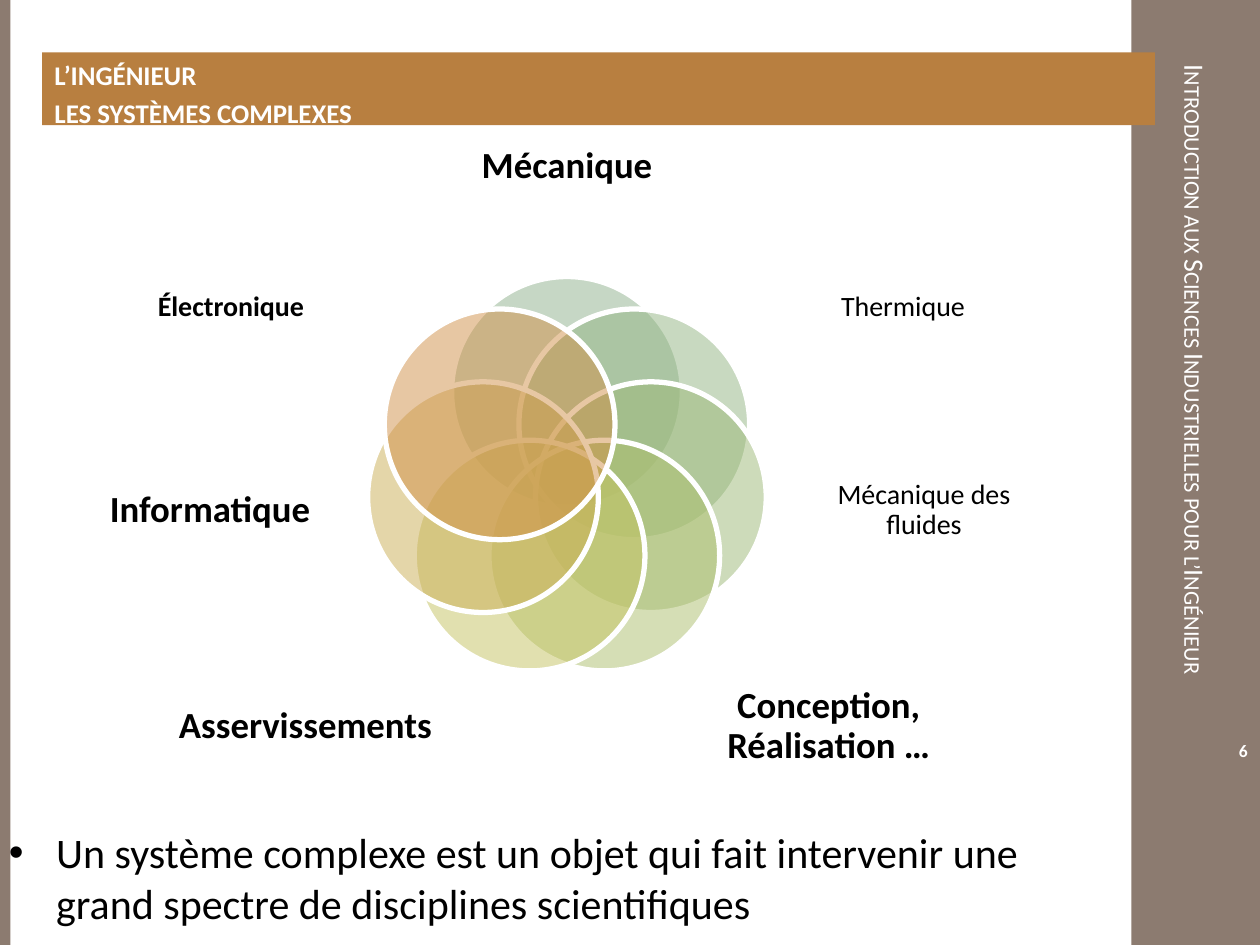
from math import cos, pi, sin

from lxml.etree import SubElement
from pptx import Presentation
from pptx.dml.color import RGBColor
from pptx.enum.shapes import MSO_SHAPE as SHAPE
from pptx.enum.text import MSO_ANCHOR as ANCHOR, PP_ALIGN as ALIGN
from pptx.oxml.ns import qn
from pptx.util import Pt

FONT = "Calibri"
BROWN, ORANGE, WHITE, BLACK = "8C7B70", "B87F40", "FFFFFF", "000000"

# text, circle colour, size, bold, label centre from diagram centre, label width
DISCIPLINES = [
    ("Mécanique", "8FB08C", 21, True, 0, -178, 151),
    ("Thermique", "92B582", 16, False, 192, -97.5, 143),
    ("Mécanique des fluides", "9CB977", 16, False, 204, 18.5, 140),
    ("Conception, Réalisation …", "ADBF6C", 21, True, 149.5, 142, 151),
    ("Asservissements", "C4C361", 21, True, -149.5, 142, 151),
    ("Informatique", "CBAE55", 21, True, -204, 18.5, 140),
    ("Électronique", "D19049", 16, True, -192, -97.5, 143),
]


def rgb(color):
    """Turn a hex string into a colour."""
    return RGBColor.from_string(color)


def add_shape(s, kind, x, y, w, h, fill, line=None, alpha=None):
    """Add a filled preset shape, with an optional outline and opacity in percent."""
    sp = s.shapes.add_shape(kind, Pt(x), Pt(y), Pt(w), Pt(h))
    sp.shadow.inherit = False
    sp.fill.solid()
    sp.fill.fore_color.rgb = rgb(fill)
    if alpha:
        clr = sp._element.spPr.find(qn("a:solidFill")).find(qn("a:srgbClr"))
        SubElement(clr, qn("a:alpha")).set("val", str(alpha * 1000))
    if line:
        sp.line.color.rgb = rgb(line)
        sp.line.width = Pt(3)
    else:
        sp.line.fill.background()
    return sp


def add_box(s, x, y, w, h):
    """Add an empty text box."""
    return s.shapes.add_textbox(Pt(x), Pt(y), Pt(w), Pt(h))


def write(sp, text, size, color=BLACK, bold=False, align=ALIGN.LEFT, anchor=ANCHOR.TOP,
          spacing=None, before=0, inset=None, bullet=None, small_caps=False, vertical=False):
    """Write text into a shape, one paragraph for each line."""
    tf = sp.text_frame
    tf.word_wrap = True
    tf.vertical_anchor = anchor
    if vertical:
        tf._txBody.bodyPr.set("vert", "vert")
    if inset is not None:
        tf.margin_left = tf.margin_top = tf.margin_right = tf.margin_bottom = Pt(inset)
    for i, line in enumerate(text.split("\n")):
        p = tf.add_paragraph() if i else tf.paragraphs[0]
        p.alignment = align
        if spacing:
            p.line_spacing = spacing
        if i and before:
            p.space_before = Pt(before)
        if bullet:
            pPr = p._p.get_or_add_pPr()
            pPr.set("marL", str(Pt(27)))
            pPr.set("indent", str(Pt(-27)))
            SubElement(pPr, qn("a:buFont")).set("typeface", "Arial")
            SubElement(pPr, qn("a:buChar")).set("char", bullet)
        r = p.add_run()
        r.text = line
        r.font.name, r.font.size, r.font.bold = FONT, Pt(size), bold
        r.font.color.rgb = rgb(color)
        if small_caps:
            r._r.get_or_add_rPr().set("cap", "small")


def add_side_bars(s, w, h):
    """Add the left edge and the right band with its running title."""
    band = 73.5
    add_shape(s, SHAPE.RECTANGLE, w - band, 0, band, h, BROWN)
    add_shape(s, SHAPE.RECTANGLE, 0, 0, 6, h, BROWN)
    write(add_box(s, w - band, 30, band, 462),
          "Introduction aux Sciences Industrielles pour l’Ingénieur", 16, WHITE,
          anchor=ANCHOR.MIDDLE, small_caps=True, vertical=True)


def add_title(s, x, y, w, h):
    """Add the two-line title bar."""
    write(add_shape(s, SHAPE.RECTANGLE, x, y, w, h, ORANGE),
          "L’INGÉNIEUR\nLES SYSTÈMES COMPLEXES", 15.4, WHITE, bold=True, before=3)


def add_diagram(s, x, y, w, h):
    """Add a ring of overlapping circles, each with a label outside."""
    cx, cy = x + w / 2, y + h * 0.54
    ring, d, label_h = 49.2, 131.8, 88
    for i, (text, color, size, bold, dx, dy, label_w) in enumerate(DISCIPLINES):
        angle = 2 * pi * i / len(DISCIPLINES)
        left = cx + ring * sin(angle) - d / 2
        top = cy - ring * cos(angle) - d / 2
        add_shape(s, SHAPE.OVAL, left, top, d, d, color, WHITE, 50)
        label = add_box(s, cx + dx - label_w / 2, cy + dy - label_h / 2, label_w, label_h)
        write(label, text, size, bold=bold, align=ALIGN.CENTER, anchor=ANCHOR.MIDDLE,
              spacing=0.9, inset=0)


def add_definition(s, x, y, w, h):
    """Add the bulleted definition."""
    write(add_box(s, x, y, w, h),
          "Un système complexe est un objet qui fait intervenir une grand spectre "
          "de disciplines scientifiques", 24, bullet="•")


def add_page_number(s, x, y, w, h):
    """Add the page number."""
    write(add_box(s, x, y, w, h), "6", 10, WHITE, bold=True, align=ALIGN.RIGHT,
          anchor=ANCHOR.MIDDLE)


def main():
    """Build the slide and save it."""
    prs = Presentation()
    prs.slide_width, prs.slide_height = Pt(720), Pt(540)
    s = prs.slides.add_slide(prs.slide_layouts[6])
    add_side_bars(s, 720, 540)
    add_title(s, 24, 30, 636, 41.5)
    add_diagram(s, 50, 55, 548, 404)
    add_definition(s, -2, 469, 652, 68)
    add_page_number(s, 644, 418, 76, 22)
    prs.save("out.pptx")


if __name__ == "__main__":
    main()
